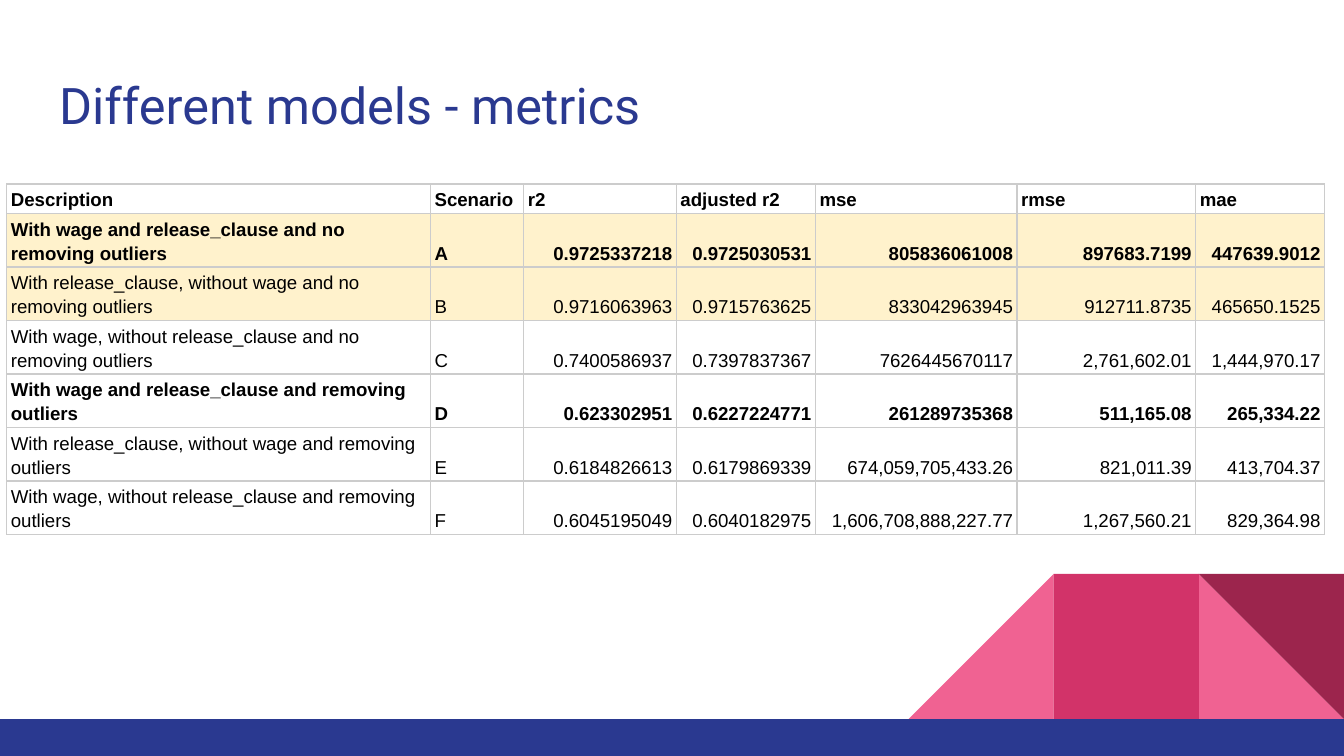
from pptx import Presentation
from pptx.dml.color import RGBColor
from pptx.enum.shapes import MSO_SHAPE as Shape
from pptx.enum.text import MSO_ANCHOR as Anchor, MSO_AUTO_SIZE as AutoSize, PP_ALIGN as Align
from pptx.oxml import parse_xml
from pptx.oxml.ns import nsdecls
from pptx.util import Pt

BLUE = RGBColor(0x2A, 0x39, 0x90)
PINK = RGBColor(0xF0, 0x62, 0x92)
ROSE = RGBColor(0xD2, 0x33, 0x69)
WINE = RGBColor(0x9C, 0x25, 0x4D)
CREAM = RGBColor(0xFF, 0xF2, 0xCC)
BLACK = RGBColor(0, 0, 0)
GRAY = RGBColor(0xCC, 0xCC, 0xCC)


def add_block(page, kind, left, top, width, height, color):
    block = page.shapes.add_shape(kind, Pt(left), Pt(top), Pt(width), Pt(height))
    block.shadow.inherit = False
    block.fill.solid()
    block.fill.fore_color.rgb = color
    block.line.fill.background()
    return block


def add_borders(cell):
    properties = cell._tc.get_or_add_tcPr()
    for index, side in enumerate(("lnL", "lnR", "lnT", "lnB")):
        border = parse_xml(
            f'<a:{side} {nsdecls("a")} w="{Pt(0.75)}"><a:solidFill>'
            f'<a:srgbClr val="{GRAY}"/></a:solidFill></a:{side}>'
        )
        properties.insert(index, border)


deck = Presentation()
deck.slide_width, deck.slide_height = Pt(720), Pt(405)
page = deck.slides.add_slide(deck.slide_layouts[5])

side = 77.75
block_top = 307.5
bar_top = block_top + side
blocks = [
    (Shape.RIGHT_TRIANGLE, 1, PINK, False, 0),
    (Shape.RIGHT_TRIANGLE, 3, PINK, True, 0),
    (Shape.RECTANGLE, 2, ROSE, False, 0),
    (Shape.RIGHT_TRIANGLE, 1, WINE, False, 180),
]
for kind, steps, color, flipped, rotation in blocks:
    block = add_block(page, kind, 720 - steps * side, block_top, side, side, color)
    block.rotation = rotation
    if flipped:
        block._element.spPr.xfrm.set("flipH", "1")
add_block(page, Shape.RECTANGLE, 0, bar_top, 720, 405 - bar_top, BLUE)

title = page.shapes.title
title_place = {"left": 24.5, "top": 32.4, "width": 671, "height": 47.5}
for name, value in title_place.items():
    setattr(title, name, Pt(value))
frame = title.text_frame
frame.text = "Different models - metrics"
frame_format = {
    "margin_left": Pt(7.2),
    "margin_right": Pt(7.2),
    "margin_top": Pt(7.2),
    "margin_bottom": Pt(7.2),
    "vertical_anchor": Anchor.MIDDLE,
    "auto_size": AutoSize.NONE,
    "word_wrap": True,
}
for name, value in frame_format.items():
    setattr(frame, name, value)
para = frame.paragraphs[0]
para.alignment = Align.LEFT
span = para.runs[0]
for name, value in {"name": "Roboto", "size": Pt(27), "bold": False}.items():
    setattr(span.font, name, value)
span.font.color.rgb = BLUE

rows = [
    ("Description", "Scenario", "r2", "adjusted r2", "mse", "rmse", "mae"),
    ("With wage and release_clause and no removing outliers", "A",
     "0.9725337218", "0.9725030531", "805836061008", "897683.7199", "447639.9012"),
    ("With release_clause, without wage and no removing outliers", "B",
     "0.9716063963", "0.9715763625", "833042963945", "912711.8735", "465650.1525"),
    ("With wage, without release_clause and no removing outliers", "C",
     "0.7400586937", "0.7397837367", "7626445670117", "2,761,602.01", "1,444,970.17"),
    ("With wage and release_clause and removing outliers", "D",
     "0.623302951", "0.6227224771", "261289735368", "511,165.08", "265,334.22"),
    ("With release_clause, without wage and removing outliers", "E",
     "0.6184826613", "0.6179869339", "674,059,705,433.26", "821,011.39", "413,704.37"),
    ("With wage, without release_clause and removing outliers", "F",
     "0.6045195049", "0.6040182975", "1,606,708,888,227.77", "1,267,560.21", "829,364.98"),
]
column_widths = [227, 50, 81.75, 74.5, 108, 95.75, 69]
row_heights = [15.8] + [28.6] * 6
bold_rows = {0, 1, 4}
highlighted_rows = {1, 2}
cell_format = {
    "margin_left": Pt(2.25),
    "margin_right": Pt(2.25),
    "margin_top": Pt(1.5),
    "margin_bottom": Pt(1.5),
    "vertical_anchor": Anchor.BOTTOM,
}

table = page.shapes.add_table(
    len(rows), len(column_widths), Pt(3.6), Pt(98.6),
    Pt(sum(column_widths)), Pt(sum(row_heights)),
).table
table.first_row = table.horz_banding = False
for column, width in zip(table.columns, column_widths):
    column.width = Pt(width)

for row_index, texts in enumerate(rows):
    table.rows[row_index].height = Pt(row_heights[row_index])
    for column_index, text in enumerate(texts):
        cell = table.cell(row_index, column_index)
        for name, value in cell_format.items():
            setattr(cell, name, value)
        if row_index in highlighted_rows:
            cell.fill.solid()
            cell.fill.fore_color.rgb = CREAM
        else:
            cell.fill.background()
        add_borders(cell)
        para = cell.text_frame.paragraphs[0]
        para.line_spacing = 1.15
        is_number = row_index > 0 and column_index > 1
        para.alignment = Align.RIGHT if is_number else Align.LEFT
        span = para.add_run()
        span.text = text
        font_format = {"name": "Arial", "size": Pt(10), "bold": row_index in bold_rows}
        for name, value in font_format.items():
            setattr(span.font, name, value)
        span.font.color.rgb = BLACK

deck.save("out.pptx")
